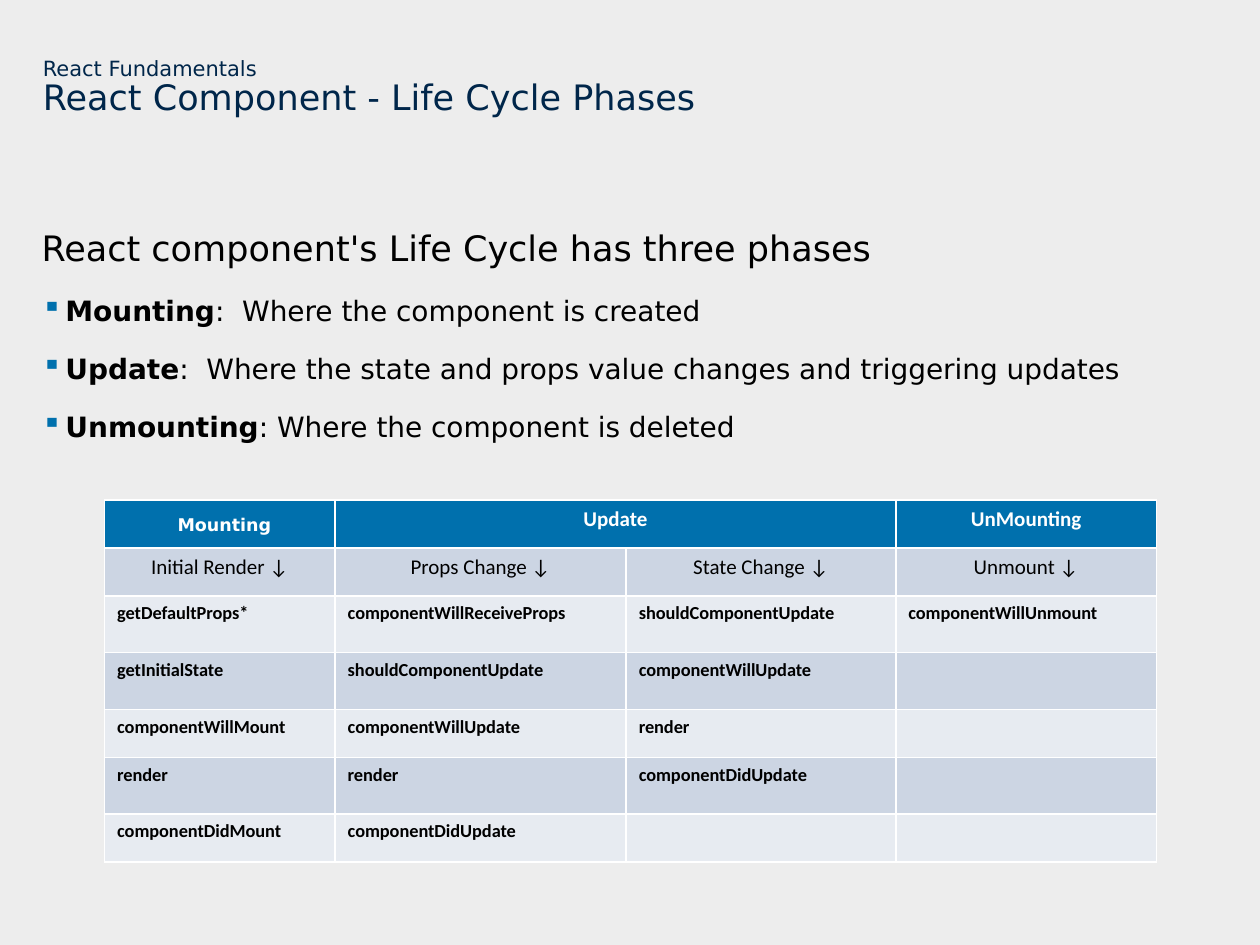
from lxml import etree
from pptx import Presentation
from pptx import util as u
from pptx.dml.color import RGBColor
from pptx.enum import shapes, text
from pptx.oxml import ns

BLUE, NAVY, WHITE, BLACK = "0070AD", "00264A", "FFFFFF", "000000"
BACKGROUND, BANDS = "EDEDED", ("E7EBF1", "CCD5E3")
HEADING_FONT, TABLE_FONT = "DejaVu Sans", "Calibri"
COLUMN_WIDTHS = (1.83, 2.31, 2.14, 2.07)
ROW_HEIGHTS = (0.38, 0.38, 0.45, 0.45, 0.38, 0.45, 0.28)
ROWS = (
    ("", "Update", "", "UnMounting"),
    ("Initial Render ↓", "Props Change ↓", "State Change ↓", "Unmount ↓"),
    ("getDefaultProps*", "componentWillReceiveProps", "shouldComponentUpdate", "componentWillUnmount"),
    ("getInitialState", "shouldComponentUpdate", "componentWillUpdate", ""),
    ("componentWillMount", "componentWillUpdate", "render", ""),
    ("render", "render", "componentDidUpdate", ""),
    ("componentDidMount", "componentDidUpdate", "", ""),
)
PHASES = (
    ("Mounting", ":  Where the component is created"),
    ("Update", ":  Where the state and props value changes and triggering updates"),
    ("Unmounting", ": Where the component is deleted"),
)


def paint(color_format, color):
    """Set a fill or font colour from a hex string."""
    color_format.rgb = RGBColor.from_string(color)


def fill_solid(fill, color):
    """Make a fill solid in the given colour."""
    fill.solid()
    paint(fill.fore_color, color)


def style_font(font, name, size, color, bold=False):
    """Set the face, size, colour and weight of a font."""
    font.name, font.size, font.bold = name, u.Pt(size), bold
    paint(font.color, color)


def prepare_frame(frame):
    """Give a text frame zero margins, top anchoring and wrapping."""
    frame.margin_left = frame.margin_right = frame.margin_top = frame.margin_bottom = 0
    frame.vertical_anchor = text.MSO_ANCHOR.TOP
    frame.auto_size = text.MSO_AUTO_SIZE.NONE
    frame.word_wrap = True


def add_bullet(paragraph):
    """Give a paragraph a blue square bullet with a hanging indent."""
    properties = paragraph._p.get_or_add_pPr()
    properties.set("marL", str(u.Inches(0.19)))
    properties.set("indent", str(u.Inches(-0.19)))
    color = etree.SubElement(properties, ns.qn("a:buClr"))
    etree.SubElement(color, ns.qn("a:srgbClr"), val=BLUE)
    etree.SubElement(properties, ns.qn("a:buChar"), char="▪")


def set_title(slide):
    """Place the title with its small section line above."""
    title = slide.shapes.title
    title.left, title.top = u.Inches(0.34), u.Inches(0.46)
    title.width, title.height = u.Inches(9.09), u.Inches(0.94)
    prepare_frame(title.text_frame)
    paragraph = title.text_frame.paragraphs[0]
    paragraph.alignment = text.PP_ALIGN.LEFT
    paragraph.line_spacing = 0.9
    section = paragraph.add_run()
    section.text = "React Fundamentals"
    style_font(section.font, HEADING_FONT, 12, NAVY)
    paragraph.add_line_break()
    topic = paragraph.add_run()
    topic.text = "React Component - Life Cycle Phases"
    style_font(topic.font, HEADING_FONT, 20, NAVY)


def space_paragraph(paragraph):
    """Apply the spacing shared by all body paragraphs."""
    paragraph.alignment = text.PP_ALIGN.JUSTIFY
    paragraph.line_spacing = 1.5
    paragraph.space_after = u.Pt(4.5)


def add_phases(slide):
    """Add the introduction and the bulleted phases."""
    box = slide.shapes.add_textbox(u.Inches(0.33), u.Inches(1.63), u.Inches(9.67), u.Inches(5.08))
    prepare_frame(box.text_frame)
    introduction = box.text_frame.paragraphs[0]
    introduction.text = "React component's Life Cycle has three phases"
    space_paragraph(introduction)
    style_font(introduction.font, HEADING_FONT, 20, BLACK)
    for phase, meaning in PHASES:
        paragraph = box.text_frame.add_paragraph()
        paragraph.level = 1
        space_paragraph(paragraph)
        add_bullet(paragraph)
        for words, bold in ((phase, True), (meaning, False)):
            run = paragraph.add_run()
            run.text = words
            style_font(run.font, HEADING_FONT, 16, BLACK, bold)


def fill_cell(cell, words, row):
    """Write and format one table cell according to its row."""
    heading = row < 2
    fill_solid(cell.fill, BLUE if row == 0 else BANDS[row % 2])
    paragraph = cell.text_frame.paragraphs[0]
    paragraph.alignment = text.PP_ALIGN.CENTER if heading else text.PP_ALIGN.LEFT
    run = paragraph.add_run()
    run.text = words
    style_font(run.font, TABLE_FONT, 12 if heading else 10.5, BLACK if row else WHITE, row != 1)


def add_method_table(slide):
    """Add the table of methods called in each phase."""
    frame = slide.shapes.add_table(
        len(ROWS), len(COLUMN_WIDTHS), u.Inches(0.83), u.Inches(3.97),
        u.Inches(sum(COLUMN_WIDTHS)), u.Inches(sum(ROW_HEIGHTS)))
    table = frame.table
    for column, width in zip(table.columns, COLUMN_WIDTHS):
        column.width = u.Inches(width)
    for row, height in zip(table.rows, ROW_HEIGHTS):
        row.height = u.Inches(height)
    for row, entries in enumerate(ROWS):
        for column, words in enumerate(entries):
            fill_cell(table.cell(row, column), words, row)
    table.cell(0, 1).merge(table.cell(0, 2))


def add_mounting_label(slide):
    """Add the label on the first header cell."""
    label = slide.shapes.add_shape(
        shapes.MSO_SHAPE.RECTANGLE, u.Inches(0.92), u.Inches(4.02), u.Inches(1.72), u.Inches(0.29))
    label.shadow.inherit = False
    fill_solid(label.fill, BLUE)
    label.line.fill.background()
    label.text_frame.vertical_anchor = text.MSO_ANCHOR.MIDDLE
    paragraph = label.text_frame.paragraphs[0]
    paragraph.text = "Mounting"
    paragraph.alignment = text.PP_ALIGN.CENTER
    style_font(paragraph.font, HEADING_FONT, 10, WHITE, True)


def main():
    """Build and save the slide."""
    presentation = Presentation()
    presentation.slide_width, presentation.slide_height = u.Inches(10), u.Inches(7.5)
    slide = presentation.slides.add_slide(presentation.slide_layouts[5])
    fill_solid(slide.background.fill, BACKGROUND)
    add_method_table(slide)
    set_title(slide)
    add_phases(slide)
    add_mounting_label(slide)
    presentation.save("out.pptx")


if __name__ == "__main__":
    main()
